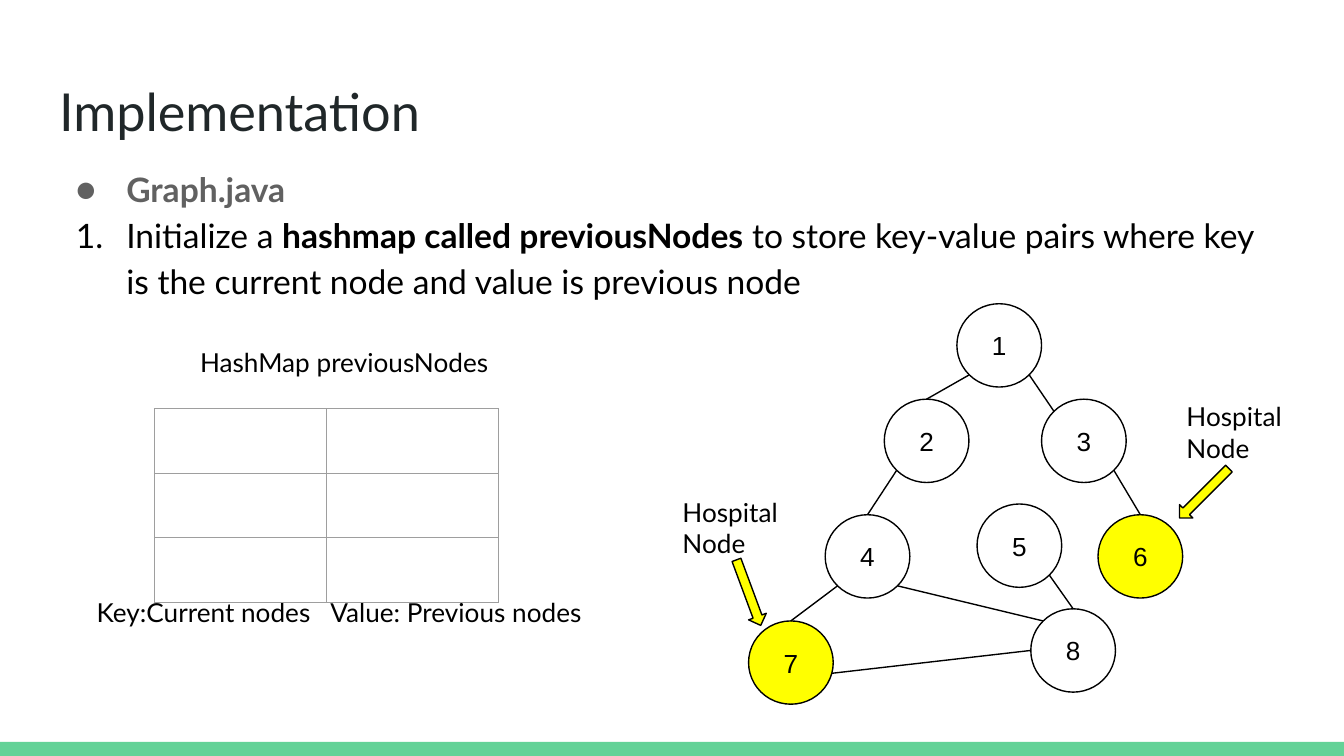
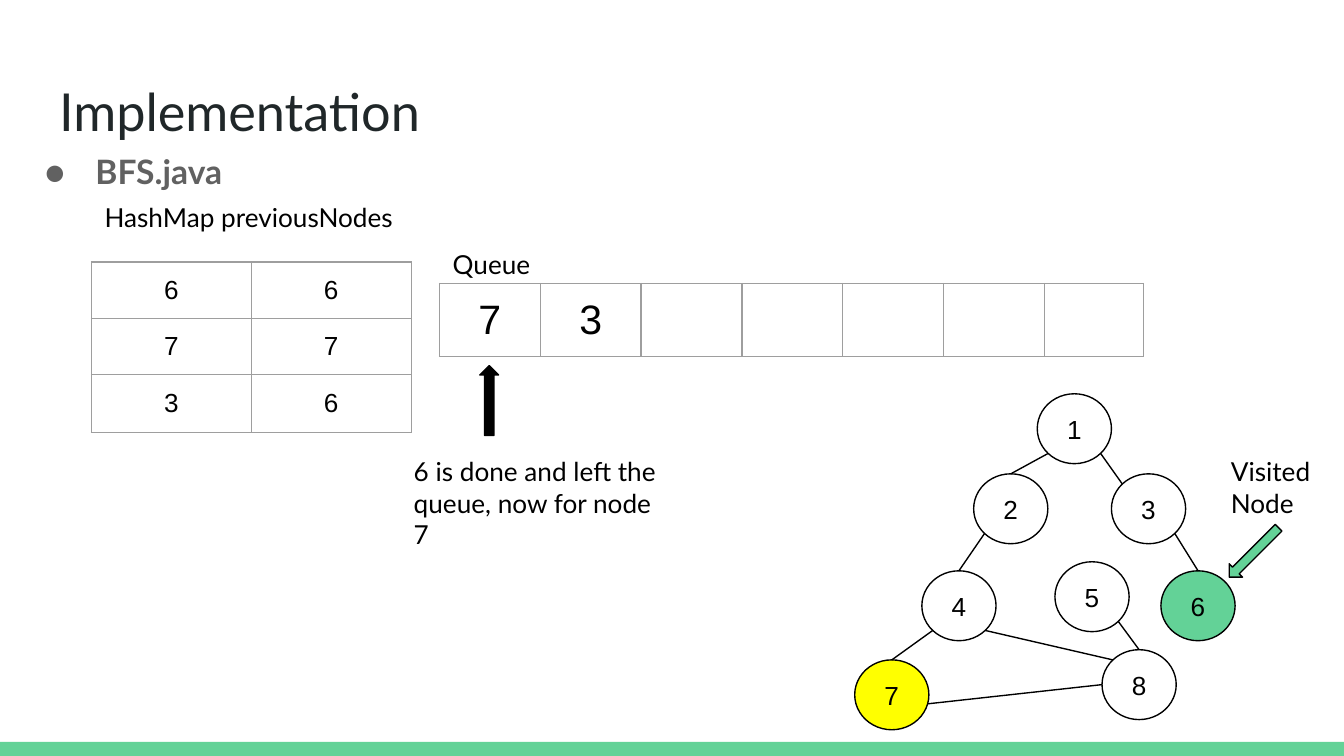
from math import cos, radians, sin

from lxml import etree
from pptx import Presentation
from pptx.dml.color import RGBColor
from pptx.enum import shapes, text
from pptx.oxml import ns
from pptx.util import Inches, Pt

BLACK = RGBColor(0, 0, 0)
WHITE = RGBColor(255, 255, 255)
INK = RGBColor(0x20, 0x27, 0x29)
GREY = RGBColor(0x61, 0x61, 0x61)
BORDER = RGBColor(0x9E, 0x9E, 0x9E)
GREEN = RGBColor(0x63, 0xD2, 0x97)
YELLOW = RGBColor(255, 255, 0)

MARGIN = 0.1
LINE = Pt(0.75)

# Graph of the city, laid out in a box of this size
GRAPH_W, GRAPH_H = 3.23, 2.98
NODE_W, NODE_H = 0.63, 0.62
NODES = {
    1: (1.55, 0), 2: (1.01, 0.71), 3: (2.18, 0.71), 4: (0.57, 1.57),
    6: (2.6, 1.57), 5: (1.7, 1.49), 7: (0, 2.36), 8: (2.1, 2.27),
}
# Angles on a node's rim, clockwise from the right
BELOW_RIGHT, LOWER_RIGHT, LOWER_LEFT, LEFT, UPPER_LEFT, TOP = 15, 45, 135, 180, 225, 270
EDGES = [
    (2, LOWER_LEFT, 4, TOP), (4, LOWER_LEFT, 7, TOP),
    (8, LEFT, 7, BELOW_RIGHT), (3, LOWER_RIGHT, 6, TOP),
    (1, LOWER_RIGHT, 3, UPPER_LEFT), (5, LOWER_RIGHT, 8, TOP),
    (1, LOWER_LEFT, 2, TOP), (8, UPPER_LEFT, 4, LOWER_RIGHT),
]


def inches(*values):
    return [Inches(v) for v in values]


def child(parent, tag, **attrs):
    return etree.SubElement(parent, ns.qn(tag), **attrs)


def write(tf, paragraphs, size=14, font="Lato", color=BLACK, bold=False,
          align=text.PP_ALIGN.LEFT, anchor=text.MSO_ANCHOR.TOP):
    """Fill a text frame; a paragraph is a string or a list of (string, bold)."""
    tf.word_wrap = True
    tf.auto_size = text.MSO_AUTO_SIZE.NONE
    tf.vertical_anchor = anchor
    tf.margin_left = tf.margin_right = tf.margin_top = tf.margin_bottom = Inches(MARGIN)
    for i, runs in enumerate(paragraphs):
        p = tf.paragraphs[0] if i == 0 else tf.add_paragraph()
        p.alignment = align
        for string, heavy in [(runs, bold)] if isinstance(runs, str) else runs:
            r = p.add_run()
            r.text = string
            r.font.size, r.font.name, r.font.bold = Pt(size), font, heavy
            r.font.color.rgb = color


def add_label(s, box, *paragraphs):
    write(s.shapes.add_textbox(*inches(*box)).text_frame, paragraphs)


def add_preset(s, kind, box, fill=None, line=BLACK, rotation=0):
    sp = s.shapes.add_shape(kind, *inches(*box))
    sp.shadow.inherit = False
    sp.rotation = rotation
    if fill is None:
        sp.fill.background()
    else:
        sp.fill.solid()
        sp.fill.fore_color.rgb = fill
    if line is None:
        sp.line.fill.background()
    else:
        sp.line.color.rgb = line
        sp.line.width = LINE
    return sp


def add_arrow(s, left, top, fill, rotation=0):
    add_preset(s, shapes.MSO_SHAPE.UP_ARROW, (left, top, 0.14, 0.52), fill,
               rotation=rotation)


def add_edge(s, start, end):
    c = s.shapes.add_connector(shapes.MSO_CONNECTOR.STRAIGHT, *inches(*start, *end))
    c.line.color.rgb = BLACK
    c.line.width = LINE
    child(c.element.spPr, "a:effectLst")


def add_graph(s, left, top, width, height, fills):
    """Draw the node graph scaled to the box; fills maps node numbers to colours."""
    kx, ky = width / GRAPH_W, height / GRAPH_H
    w, h = NODE_W * kx, NODE_H * ky

    def rim(node, angle):
        x, y = NODES[node]
        a = radians(angle)
        return (left + x * kx + w / 2 * (1 + cos(a)),
                top + y * ky + h / 2 * (1 + sin(a)))

    for node, (x, y) in NODES.items():
        sp = add_preset(s, shapes.MSO_SHAPE.OVAL,
                        (left + x * kx, top + y * ky, w, h), fills.get(node))
        write(sp.text_frame, [str(node)], font="Arial",
              align=text.PP_ALIGN.CENTER, anchor=text.MSO_ANCHOR.MIDDLE)
    for a, angle_a, b, angle_b in EDGES:
        add_edge(s, rim(a, angle_a), rim(b, angle_b))


def style_cell(cell):
    cell.margin_left = cell.margin_right = Inches(MARGIN)
    cell.margin_top = cell.margin_bottom = Inches(MARGIN)
    cell.fill.background()
    tc_pr = cell._tc.get_or_add_tcPr()
    for i, side in enumerate(("a:lnL", "a:lnR", "a:lnT", "a:lnB")):
        ln = child(tc_pr, side, w=str(LINE))
        child(child(ln, "a:solidFill"), "a:srgbClr", val=str(BORDER))
        tc_pr.insert(i, ln)


def add_grid(s, left, top, col_widths, row_heights, rows, size=14):
    """Add a bordered table; blank strings leave a cell empty."""
    frame = s.shapes.add_table(
        len(row_heights), len(col_widths),
        *inches(left, top, sum(col_widths), sum(row_heights)))
    table = frame.table
    table.first_row = table.horz_banding = False
    for col, width in zip(table.columns, col_widths):
        col.width = Inches(width)
    for row, height, values in zip(table.rows, row_heights, rows):
        row.height = Inches(height)
        for cell, value in zip(row.cells, values):
            style_cell(cell)
            p = cell.text_frame.paragraphs[0]
            if value:
                p.alignment = text.PP_ALIGN.CENTER
                r = p.add_run()
                r.text = value
                r.font.size, r.font.name = Pt(size), "Arial"
                r.font.color.rgb = BLACK
            else:
                end = child(p._p, "a:endParaRPr", sz="1800")
                child(end, "a:latin", typeface="Arial")


def add_bullet(p, color, tag, **attrs):
    p.line_spacing = 1.15
    p.space_before = Pt(0)
    p_pr = p._p.get_or_add_pPr()
    p_pr.set("marL", str(Inches(0.5)))
    p_pr.set("indent", str(Pt(-27)))
    child(child(p_pr, "a:buClr"), "a:srgbClr", val=str(color))
    child(p_pr, "a:buFont", typeface="Lato")
    child(p_pr, tag, **attrs)


def place(sp, box):
    sp.left, sp.top, sp.width, sp.height = inches(*box)
    return sp.text_frame


def add_slide(prs, title_width, body_box, file_name, step=None):
    """Add a slide with the title, the file name as a bullet and a numbered step."""
    s = prs.slides.add_slide(prs.slide_layouts[1])
    write(place(s.shapes.title, (0.34, 0.49, title_width, 0.63)),
          ["Implementation"], size=28, color=INK)
    tf = place(s.placeholders[1], body_box)
    write(tf, [file_name] + ([step] if step else []), size=18, bold=True)
    first, *steps = tf.paragraphs
    first.runs[0].font.color.rgb = GREY
    add_bullet(first, GREY, "a:buChar", char="●")
    for p in steps:
        add_bullet(p, BLACK, "a:buAutoNum", type="arabicPeriod")
    return s


def add_master_band(prs, s):
    """Draw the bottom band and move it to the master, behind everything."""
    band = add_preset(s, shapes.MSO_SHAPE.RECTANGLE, (0, 5.52, 10, 0.11), GREEN, line=None)
    master = prs.slide_master
    master.background.fill.solid()
    master.background.fill.fore_color.rgb = WHITE
    master.shapes.element.insert(2, band.element)


def graph_slide(prs):
    step = [("Initialize a ", False), ("hashmap called previousNodes", True),
            (" to store key-value pairs where key is the current node"
             " and value is previous node", False)]
    s = add_slide(prs, 2.9, (0.34, 1.11, 9.32, 1.06), "Graph.java", step)
    add_graph(s, 5.57, 2.26, GRAPH_W, GRAPH_H, {6: YELLOW, 7: YELLOW})
    add_arrow(s, 5.5, 4.15, YELLOW, 159.7)
    add_arrow(s, 8.89, 3.41, YELLOW, 225)
    for left, top in ((4.98, 3.59), (8.73, 2.88)):
        add_label(s, (left, top, 0.93, 0.31), "Hospital", "Node")
    add_label(s, (1.39, 2.48, 2.83, 0.5), "HashMap previousNodes")
    add_label(s, (0.62, 4.34, 1.8, 0.62), "Key:Current nodes")
    add_label(s, (2.36, 4.34, 2.56, 0.46), "Value: Previous nodes")
    add_grid(s, 1.15, 3.04, [1.28] * 2, [0.42, 0.42, 0.45], [["", ""]] * 3)
    return s


def bfs_slide(prs):
    s = add_slide(prs, 3.27, (0.11, 0.98, 4.83, 0.5), "BFS.java")
    add_label(s, (0.68, 1.4, 2.83, 0.5), "HashMap previousNodes")
    add_grid(s, 3.27, 2.11, [0.75] * 6 + [0.74], [0.44],
             [["7", "3"] + [""] * 5], size=22)
    add_label(s, (3.27, 1.75, 2.45, 0.31), "Queue")
    add_arrow(s, 3.57, 2.72, BLACK)
    add_label(s, (2.98, 3.29, 2.12, 0.44), "6 is done and left the queue, now for node 7")
    add_graph(s, 6.36, 2.93, 2.83, 2.5, {6: GREEN, 7: YELLOW})
    add_arrow(s, 9.26, 3.85, GREEN, 225)
    add_label(s, (9.06, 3.29, 0.94, 0.44), "Visited Node")
    add_grid(s, 0.68, 1.95, [1.19] * 2, [0.42, 0.42, 0.43],
             [["6", "6"], ["7", "7"], ["3", "6"]])


def main():
    prs = Presentation()
    prs.slide_width = Inches(10)
    prs.slide_height = prs.slide_width * 9 // 16
    add_master_band(prs, graph_slide(prs))
    bfs_slide(prs)
    prs.save("out.pptx")


if __name__ == "__main__":
    main()
